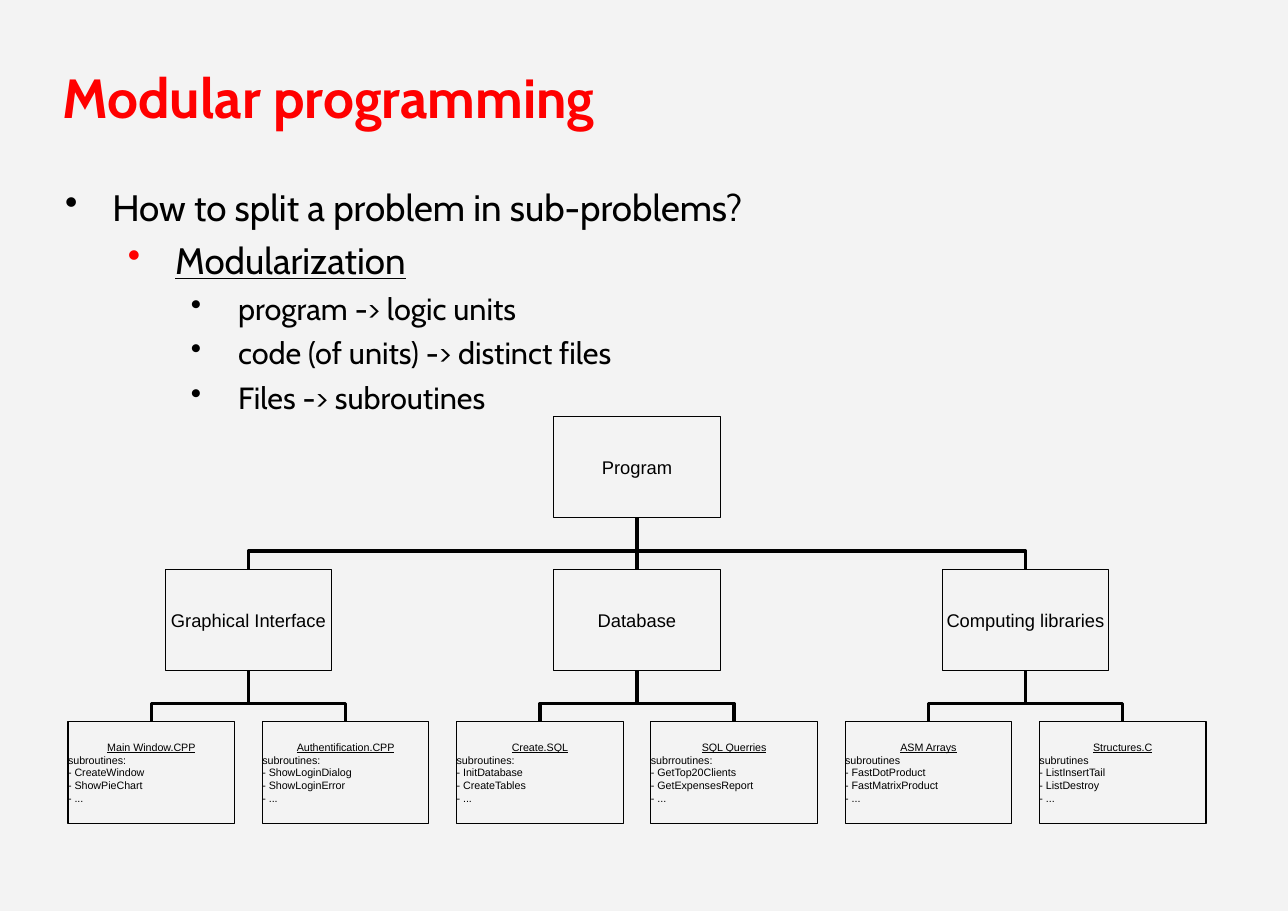
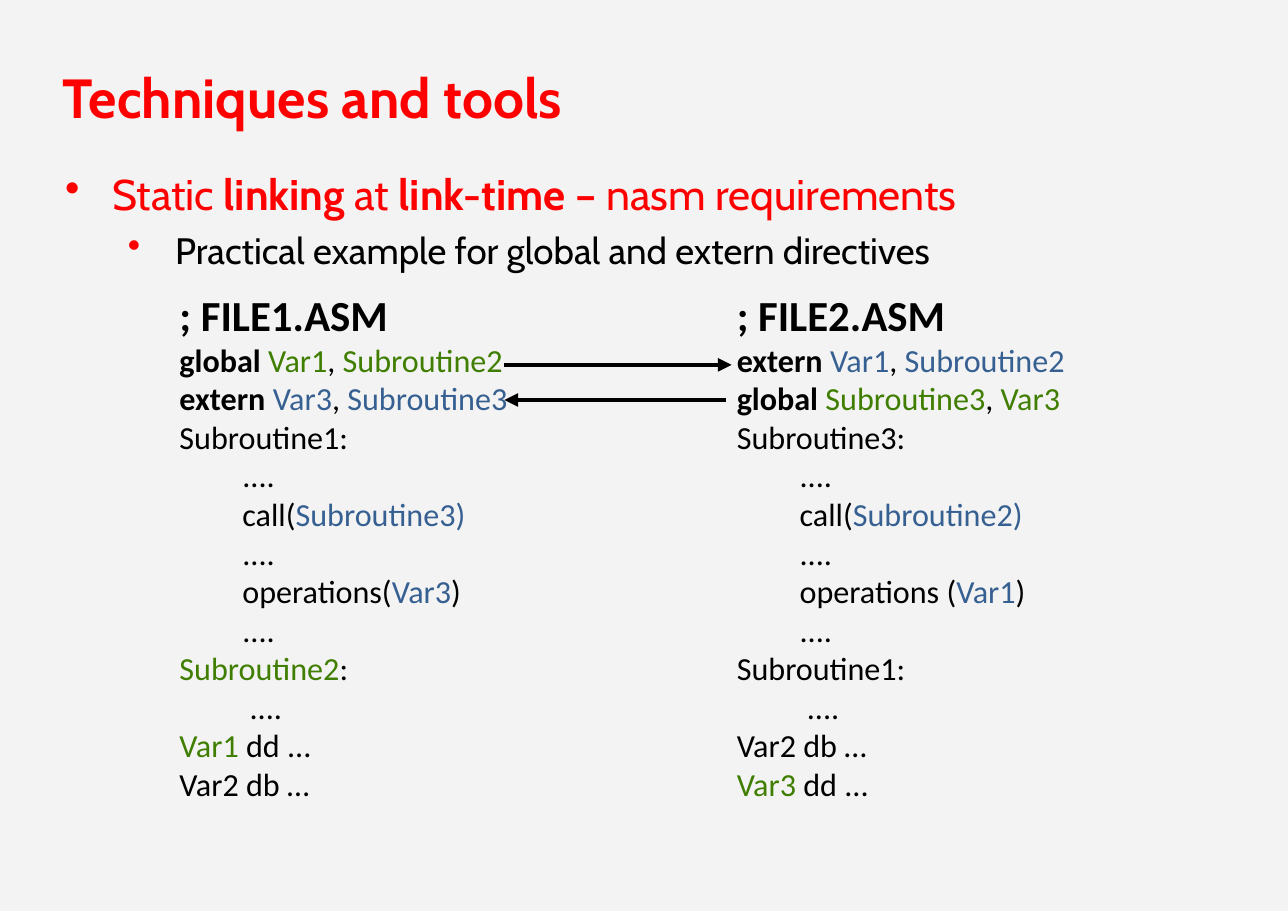
import lxml.etree
import pptx
import pptx.dml.color
import pptx.enum.shapes
import pptx.enum.text
import pptx.oxml.ns
import pptx.util

Cm = pptx.util.Cm
Pt = pptx.util.Pt
qn = pptx.oxml.ns.qn
ALIGN = pptx.enum.text.PP_ALIGN
CONNECTOR = pptx.enum.shapes.MSO_CONNECTOR

COLORS = {
    "background": "F3F3F3",
    "black": "000000",
    "red": "FF0000",
    "green": "3F7E00",
    "blue": "376092",
}
RGB = {name: pptx.dml.color.RGBColor.from_string(value) for name, value in COLORS.items()}


def add_paragraph(shape, runs, font="Cabin", size=24, color="black", bold=False, underline=False,
                  align=ALIGN.LEFT, before=0, indent=0, hanging=0, bullet=None):
    """Fill the first empty paragraph or add one; a run is (text, overrides of color and bold)."""
    frame = shape.text_frame
    paragraph = frame.add_paragraph() if frame.text else frame.paragraphs[0]
    paragraph.alignment = align
    paragraph.space_before = Pt(before)
    properties = paragraph._p.get_or_add_pPr()
    properties.set("marL", str(Cm(indent)))
    properties.set("indent", str(-Cm(hanging)))
    if bullet:
        bullet_color = lxml.etree.SubElement(properties, qn("a:buClr"))
        lxml.etree.SubElement(bullet_color, qn("a:srgbClr"), val=COLORS[bullet])
        lxml.etree.SubElement(properties, qn("a:buChar"), char="•")
    for text, changes in [(runs, {})] if isinstance(runs, str) else runs:
        run = paragraph.add_run()
        run.text = text
        run.font.name = font
        run.font.size = Pt(size)
        run.font.underline = underline
        run.font.bold = changes.get("bold", bold)
        run.font.color.rgb = RGB[changes.get("color", color)]


def style_line(connector, width, arrow=False):
    connector.line.color.rgb = RGB["black"]
    connector.line.width = Pt(width)
    properties = connector._element.spPr
    if arrow:
        lxml.etree.SubElement(properties.find(qn("a:ln")), qn("a:tailEnd"), type="triangle")
    lxml.etree.SubElement(properties, qn("a:effectLst"))


presentation = pptx.Presentation()
presentation.slide_width = Cm(29.7)
presentation.slide_height = Cm(21)
background = presentation.slide_master.background.fill
background.solid()
background.fore_color.rgb = RGB["background"]

# Slides with their titles and bullet areas
slides = []
bodies = []
for title, body_top, body_height in [
    ("Modular programming", 4.11, 14),
    ("Techniques and tools", 3.71, 3.84),
]:
    slide = presentation.slides.add_slide(presentation.slide_layouts[6])
    title_box = slide.shapes.add_textbox(Cm(1.19), Cm(1.22), Cm(22.6), Cm(2))
    title_box.text_frame.word_wrap = True
    title_box.text_frame.vertical_anchor = pptx.enum.text.MSO_ANCHOR.MIDDLE
    add_paragraph(title_box, title, size=36, color="red", bold=True)
    body = slide.shapes.add_textbox(Cm(1.22), Cm(body_top), Cm(25.8), Cm(body_height))
    frame = body.text_frame
    frame.word_wrap = True
    frame.margin_left = frame.margin_right = Cm(0.28)
    frame.margin_top = frame.margin_bottom = Cm(0.15)
    slides.append(slide)
    bodies.append(body)

LEVELS = [{"indent": indent, "hanging": 1.09} for indent in (1.09, 2.54, 3.99)]

# Modular programming: bullets
add_paragraph(bodies[0], "How to split a problem in sub-problems?", before=6, bullet="black", **LEVELS[0])
add_paragraph(bodies[0], "Modularization", underline=True, before=6, bullet="red", **LEVELS[1])
for text in ["program -> logic units", "code (of units) -> distinct files", "Files -> subroutines"]:
    add_paragraph(bodies[0], text, size=20, before=5, bullet="black", **LEVELS[2])

# Modular programming: tree of program, modules and files
BOX_WIDTH, BOX_HEIGHT = 3.84, 2.34
TREE_LEFT, TREE_TOP = 1.57, 9.6
COLUMN_STEP, ROW_STEP = 4.48, 3.52

# Each node: column, row, index of parent, lines
nodes = [
    (2.5, 0, None, ["Program"]),
    (0.5, 1, 0, ["Graphical Interface"]),
    (2.5, 1, 0, ["Database"]),
    (4.5, 1, 0, ["Computing libraries"]),
]
files = [
    ("Main Window.CPP", "subroutines:", "CreateWindow", "ShowPieChart"),
    ("Authentification.CPP", "subroutines:", "ShowLoginDialog", "ShowLoginError"),
    ("Create.SQL", "subroutines:", "InitDatabase", "CreateTables"),
    ("SQL Querries", "subrroutines:", "GetTop20Clients", "GetExpensesReport"),
    ("ASM Arrays", "subroutines", "FastDotProduct", "FastMatrixProduct"),
    ("Structures.C", "subrutines", "ListInsertTail", "ListDestroy"),
]
for column, (name, label, *routines) in enumerate(files):
    lines = [name, label] + [f"- {routine}" for routine in routines + ["..."]]
    nodes.append((column, 2, 1 + column // 2, lines))

tree = slides[0].shapes
boxes = []
for column, row, parent, lines in nodes:
    box = tree.add_shape(
        pptx.enum.shapes.MSO_SHAPE.RECTANGLE,
        Cm(TREE_LEFT + column * COLUMN_STEP), Cm(TREE_TOP + row * ROW_STEP),
        Cm(BOX_WIDTH), Cm(BOX_HEIGHT),
    )
    box.shadow.inherit = False
    box.fill.background()
    box.line.color.rgb = RGB["black"]
    box.line.width = Pt(0.75)
    frame = box.text_frame
    frame.word_wrap = True
    frame.vertical_anchor = pptx.enum.text.MSO_ANCHOR.MIDDLE
    frame.margin_left = frame.margin_right = frame.margin_top = frame.margin_bottom = 0
    is_file = row == 2
    add_paragraph(box, lines[0], font="Arial", size=7 if is_file else 12,
                  underline=is_file, align=ALIGN.CENTER)
    for line in lines[1:]:
        add_paragraph(box, line, font="Arial", size=7)
    boxes.append(box)

    if parent is None:
        continue
    offset = column - nodes[parent][0]
    connector = tree.add_connector(CONNECTOR.ELBOW if offset else CONNECTOR.STRAIGHT, 0, 0, 0, 0)
    connector.begin_connect(box, 0)
    connector.end_connect(boxes[parent], 2)
    style_line(connector, 2.25)
    if offset:
        # An elbow that leaves a box vertically is a horizontal elbow turned by 90 degrees
        center_x = connector.left + connector.width // 2
        center_y = connector.top + connector.height // 2
        connector.width, connector.height = connector.height, connector.width
        connector.left = center_x - connector.width // 2
        connector.top = center_y - connector.height // 2
        transform = connector._element.spPr.find(qn("a:xfrm"))
        transform.set("rot", "16200000" if offset > 0 else "5400000")
        transform.set("flipH", "0" if offset > 0 else "1")
        transform.set("flipV", "1")
        adjustments = connector._element.spPr.find(qn("a:prstGeom")).get_or_add_avLst()
        lxml.etree.SubElement(adjustments, qn("a:gd"), name="adj1", fmla="val 35600")

# Techniques and tools: bullets
STRONG = {"bold": True}
add_paragraph(
    bodies[1],
    [("Static ", {}), ("linking", STRONG), (" at ", {}), ("link-time – ", STRONG), ("nasm requirements", {})],
    size=28, color="red", before=7, bullet="red", **LEVELS[0])
add_paragraph(bodies[1], "Practical example for global and extern directives",
              before=6, bullet="red", **LEVELS[1])

# Techniques and tools: the two source files; each line is (indented, runs)
OWN = {"color": "green"}
FOREIGN = {"color": "blue"}
listings = [
    (3.89, "; FILE1.ASM", [
        (0, [("global ", STRONG), ("Var1", OWN), (", ", {}), ("Subroutine2", OWN)]),
        (0, [("extern ", STRONG), ("Var3", FOREIGN), (", ", {}), ("Subroutine3", FOREIGN)]),
        (0, "Subroutine1:"),
        (1, "...."),
        (1, [("call(", {}), ("Subroutine3)", FOREIGN)]),
        (1, "...."),
        (1, [("operations(", {}), ("Var3", FOREIGN), (")", {})]),
        (1, "...."),
        (0, [("Subroutine2", OWN), (":", {})]),
        (1, " ...."),
        (0, [("Var1", OWN), (" dd ...", {})]),
        (0, "Var2 db …"),
    ]),
    (16.74, "; FILE2.ASM", [
        (0, [("extern ", STRONG), ("Var1", FOREIGN), (", ", {}), ("Subroutine2", FOREIGN)]),
        (0, [("global ", STRONG), ("Subroutine3", OWN), (", ", {}), ("Var3", OWN)]),
        (0, "Subroutine3:"),
        (1, "...."),
        (1, [("call(", {}), ("Subroutine2)", FOREIGN)]),
        (1, "...."),
        (1, [("operations (", {}), ("Var1", FOREIGN), (")", {})]),
        (1, "...."),
        (0, "Subroutine1:"),
        (1, " ...."),
        (0, "Var2 db …"),
        (0, [("Var3", OWN), (" dd ...", {})]),
    ]),
]
for left, heading, code in listings:
    listing = slides[1].shapes.add_textbox(Cm(left), Cm(6.53), Cm(8.3), Cm(12.12))
    listing.text_frame.word_wrap = True
    add_paragraph(listing, heading, font="Calibri", size=28, bold=True)
    for indented, runs in code:
        add_paragraph(listing, runs, font="Calibri", size=21, indent=1.45 * indented)

# Techniques and tools: arrows from each global to its extern
for start, end, height in [(11.63, 16.87, 8.41), (16.74, 11.63, 9.22)]:
    arrow = slides[1].shapes.add_connector(CONNECTOR.STRAIGHT, Cm(start), Cm(height), Cm(end), Cm(height))
    style_line(arrow, 3, arrow=True)

presentation.save("out.pptx")
